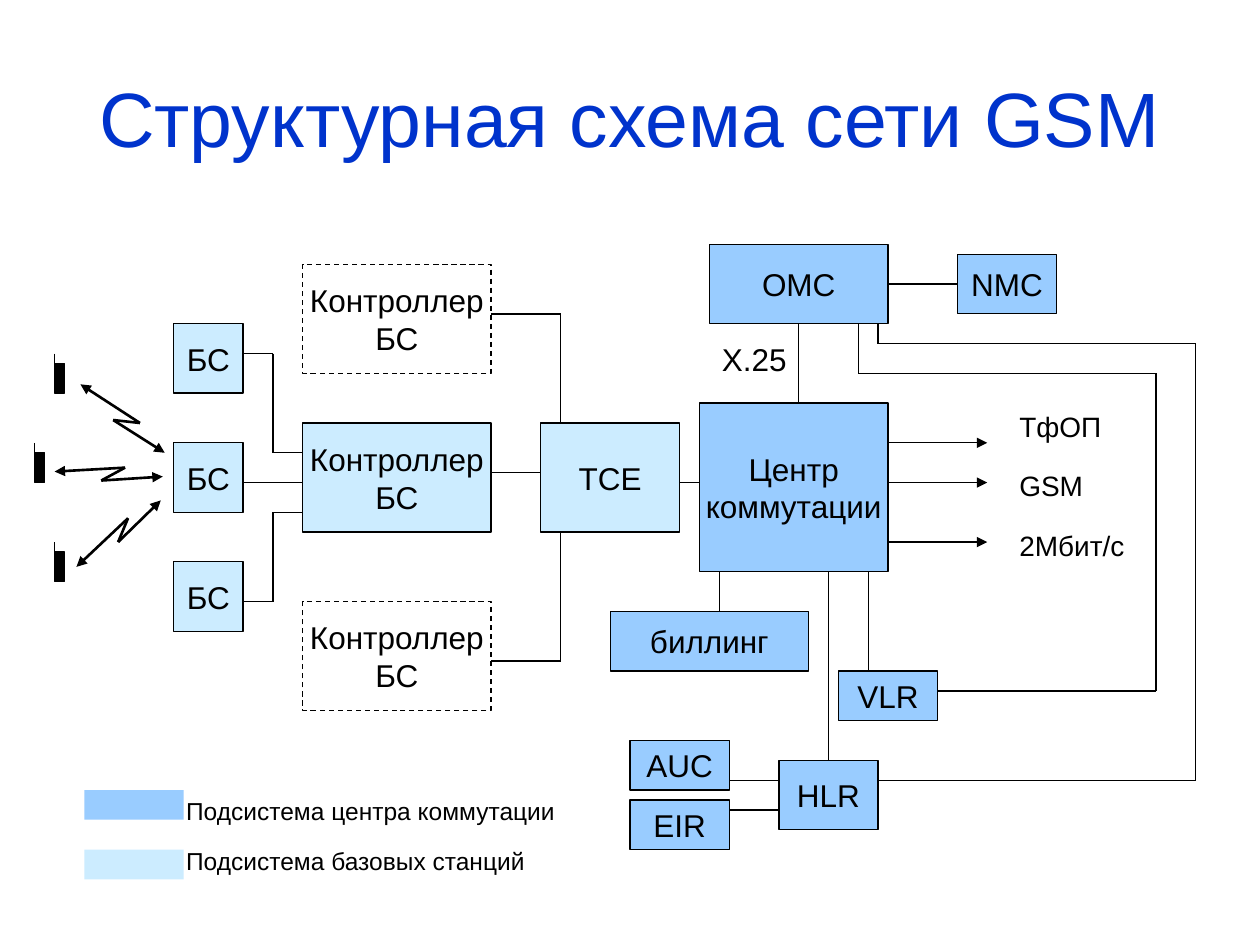
"""Build the slide with the structure diagram of a GSM network."""
from itertools import pairwise

from lxml.etree import SubElement
from pptx import Presentation
from pptx.dml.color import RGBColor
from pptx.enum.dml import MSO_LINE
from pptx.enum.shapes import MSO_CONNECTOR, MSO_SHAPE
from pptx.enum.text import MSO_ANCHOR, PP_ALIGN
from pptx.oxml.ns import qn
from pptx.util import Inches, Pt

COLORS = {"title": "0033CC", "core": "99CCFF", "radio": "CCECFF", "black": "000000"}
BLACK = RGBColor.from_string(COLORS["black"])

prs = Presentation()
prs.slide_width, prs.slide_height = Inches(10), Inches(7.5)
s = prs.slides.add_slide(prs.slide_layouts[6])
CELL = prs.slide_width / 127
LEFT, TOP = Inches(0.04), Inches(0.05)


def write(sp, text, size, color="black", align=PP_ALIGN.CENTER, anchor=MSO_ANCHOR.MIDDLE):
    tf = sp.text_frame
    tf.text = text
    tf.word_wrap = False
    tf.vertical_anchor = anchor
    for p in tf.paragraphs:
        p.alignment = align
        for r in p.runs:
            r.font.name, r.font.size = "Arial", Pt(size)
            r.font.color.rgb = RGBColor.from_string(COLORS[color])


def wire(start, end, width=0.75, arrow=False):
    x1, y1, x2, y2 = (int(o + n * CELL) for o, n in zip((LEFT, TOP) * 2, (*start, *end)))
    c = s.shapes.add_connector(MSO_CONNECTOR.STRAIGHT, x1, y1, x2, y2)
    c.line.color.rgb, c.line.width = BLACK, Pt(width)
    if arrow:
        SubElement(c.line._get_or_add_ln(), qn("a:tailEnd"), type="triangle")
    SubElement(c._element.spPr, qn("a:effectLst"))
    return c


title = s.shapes.add_textbox(*(int(prs.slide_width * v) for v in (0.05, 0.03, 0.9, 0.125)))
write(title, "Структурная схема сети GSM", 44, "title")

controller = "Контроллер\nБС"
blocks = [
    ("Центр\nкоммутации", 70, 40, 19, 17, "core"),
    ("TCE", 54, 42, 14, 11, "radio"),
    (controller, 30, 42, 19, 11, "radio"),
    (controller, 30, 60, 19, 11, None),
    (controller, 30, 26, 19, 11, None),
    *(("БС", 17, row, 7, 7, "radio") for row in (32, 44, 56)),
    ("OMC", 71, 24, 18, 8, "core"),
    ("NMC", 96, 25, 10, 6, "core"),
    ("биллинг", 61, 61, 20, 6, "core"),
    ("VLR", 84, 67, 10, 5, "core"),
    ("HLR", 78, 76, 10, 7, "core"),
    ("AUC", 63, 74, 10, 5, "core"),
    ("EIR", 63, 80, 10, 5, "core"),
    ("", 8, 79, 10, 3, "core"),
    ("", 8, 85, 10, 3, "radio"),
    *(("", col, row, 1, 3, "black") for col, row in ((3, 45), (5, 55), (5, 36))),
]
boxes = {}
for text, col, row, w, h, fill in blocks:
    sp = s.shapes.add_shape(MSO_SHAPE.RECTANGLE, int(LEFT + col * CELL), int(TOP + row * CELL),
                            int(w * CELL), int(h * CELL))
    sp.shadow.inherit = False
    if fill:
        sp.fill.solid()
        sp.fill.fore_color.rgb = RGBColor.from_string(COLORS[fill])
    else:
        sp.fill.background()
    if text or fill == "black":
        sp.line.color.rgb, sp.line.width = BLACK, Pt(0.75)
    else:
        sp.line.fill.background()
    if not fill:
        sp.line.dash_style = MSO_LINE.DASH
    if text:
        write(sp, text, 18)
        boxes[text] = sp
    if fill == "black":
        wire((col, row - 1), (col, row))

labels = [
    ("Х.25", 71, 33, 9.4, 5, 18),
    ("ТфОП", 101, 40, 11.2, 4.7, 16),
    ("GSM", 101, 46, 9.2, 4.7, 16),
    ("2Мбит/с", 101, 52, 13.6, 4.7, 16),
    ("Подсистема центра коммутации", 17, 79, 40.4, 4.3, 14),
    ("Подсистема базовых станций", 17, 84, 37.4, 4.3, 14),
]
for text, col, row, w, h, size in labels:
    sp = s.shapes.add_textbox(int(LEFT + col * CELL), int(TOP + row * CELL),
                              int(w * CELL), int(h * CELL))
    write(sp, text, size, align=PP_ALIGN.LEFT, anchor=MSO_ANCHOR.TOP)

routes = [
    [(68, 48), (70, 48)],
    [(49, 47), (54, 47)],
    [(49, 66), (56, 66), (56, 53)],
    [(49, 31), (56, 31), (56, 42)],
    [(72, 57), (72, 61)],
    [(87, 57), (87, 67)],
    [(73, 78), (78, 78)],
    [(73, 81), (78, 81)],
    [(86, 32), (86, 37), (116, 37), (116, 69), (94, 69)],
    [(88, 32), (88, 34), (120, 34), (120, 78), (88, 78)],
    [(24, 48), (30, 48)],
    [(24, 35), (27, 35), (27, 45), (30, 45)],
    [(24, 60), (27, 60), (27, 51), (30, 51)],
]
for route in routes:
    for start, end in pairwise(route):
        wire(start, end)

link = wire((89, 28), (96, 28))
link.begin_connect(boxes["OMC"], 3)
link.end_connect(boxes["NMC"], 1)
wire((80, 32), (80, 40)).begin_connect(boxes["OMC"], 2)
wire((83, 57), (83, 76)).end_connect(boxes["HLR"], 0)

for row in (44, 48, 54):
    wire((89, row), (99, row), arrow=True)

bolts = [
    [(5, 46.9), (12.1, 46.5), (9.7, 47.8), (15.9, 47.4)],
    [(7.6, 38.1), (13.6, 42), (10.9, 41.7), (16.1, 45)],
    [(7.2, 56.5), (12.4, 51.6), (11.4, 54), (15.7, 49.8)],
]
for phone, bend, back, station in bolts:
    wire(bend, phone, 1.5, True)
    wire(bend, back, 1.5)
    wire(back, station, 1.5, True)

prs.save("out.pptx")
